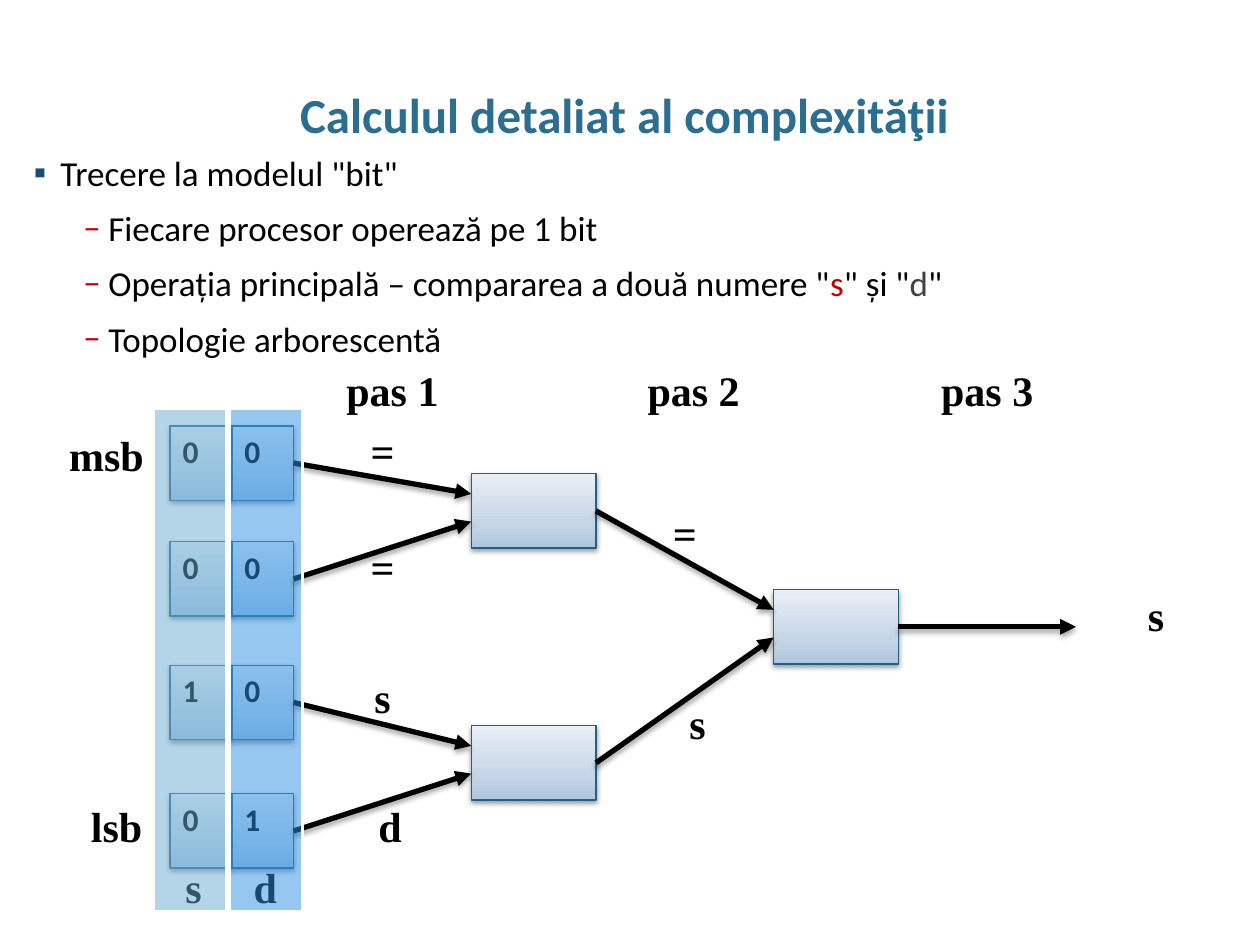
"""Builds the slide on the bit-model comparison tree, on a grid of 100 columns by 75 rows."""
from typing import NamedTuple, Optional

from lxml.etree import SubElement
from pptx import Presentation
from pptx.dml.color import RGBColor
from pptx.enum.shapes import MSO_CONNECTOR, MSO_SHAPE
from pptx.enum.text import MSO_ANCHOR, PP_ALIGN
from pptx.oxml import parse_xml
from pptx.oxml.ns import nsdecls, qn
from pptx.util import Emu, Inches, Pt

BLACK = RGBColor(0x00, 0x00, 0x00)
WHITE = RGBColor(0xFF, 0xFF, 0xFF)
TITLE = RGBColor(0x2C, 0x6D, 0x92)
BULLET = RGBColor(0x1C, 0x4C, 0x74)
DASH = RGBColor(0xBE, 0x00, 0x09)
RED = RGBColor(0xC0, 0x00, 0x00)
GREY = RGBColor(0x40, 0x40, 0x40)
NODE_LINE = RGBColor(0x24, 0x60, 0x83)
BIT_LINE = RGBColor(0x29, 0x6B, 0x91)
S_BAND = RGBColor(0x6B, 0xAD, 0xD3)
D_BAND = RGBColor(0x2C, 0x91, 0xE4)
NODE_STOPS = ((0, "AEC5DE"), (35, "C7D6E7"), (100, "E9EFF6"))
BIT_STOPS = ((0, "AAC8E6"), (35, "C4D8EC"), (100, "E8F0F8"))
SERIF, SANS = "Times New Roman", "Calibri"
STEP = Inches(0.1)
BOX_W, BOX_H, BIT_W = 9.9, 5.9, 4.9
BITS_COL, BITS_END = 13.5, 23.3
PORTS = (1.6, 3.8)


class Label(NamedTuple):
    text: str
    col: float
    row: float


class Item(NamedTuple):
    runs: tuple
    bullet: str
    color: RGBColor
    margin: float
    indent: float


class BitPair(NamedTuple):
    s: str
    d: str
    row: float


LABELS = (
    Label("msb", 3.5, 33.6), Label("lsb", 4.3, 63),
    Label("=", 25.4, 33.3), Label("=", 25.4, 42.5), Label("s", 25.4, 52.8), Label("d", 26, 63),
    Label("=", 49.4, 39.8), Label("s", 50.4, 54.9), Label("s", 86.8, 46.3),
    Label("s", 10.4, 67.9), Label("d", 16.1, 67.9),
)
STEPS = (Label("pas 1", 26.2, 28.4), Label("pas 2", 50.1, 28.4), Label("pas 3", 73.4, 28.4))
PAIRS = (BitPair("0", "0", 33.8), BitPair("0", "0", 43), BitPair("1", "0", 52.8), BitPair("0", "1", 63))
SUB = ("‒", DASH, 0.59, -0.2)
ITEMS = (
    Item((("Trecere la modelul \"bit\"", BLACK),), "▪", BULLET, 0.21, -0.21),
    Item((("Fiecare procesor operează pe 1 bit", BLACK),), *SUB),
    Item((("Operația principală – compararea a două numere \"", BLACK), ("s", RED),
          ("\" și \"", BLACK), ("d", GREY), ("\"", BLACK)), *SUB),
    Item((("Topologie arborescentă", BLACK),), *SUB),
)


def grid(*lengths: float) -> list:
    """Turn grid lengths into EMU."""
    return [Emu(int(v * STEP)) for v in lengths]


def style(r, size: float, color: RGBColor, name: str, bold: bool = True) -> None:
    """Set the font of a run."""
    r.font.size, r.font.name, r.font.bold = Pt(size), name, bold
    r.font.color.rgb = color


def add_effect(sp, blur: float = 0, dist: float = 0, alpha: int = 0) -> None:
    """Give a shape a downward shadow."""
    sp._element.spPr.append(parse_xml(
        f'<a:effectLst {nsdecls("a")}><a:outerShdw blurRad="{Pt(blur)}" dist="{Pt(dist)}" '
        f'dir="5400000" rotWithShape="0"><a:srgbClr val="000000"><a:alpha val="{alpha * 1000}"/>'
        '</a:srgbClr></a:outerShdw></a:effectLst>'))


def add_rect(s, col: float, row: float, w: float, h: float, fill: RGBColor):
    """Draw a plain rectangle without line or shadow."""
    sp = s.shapes.add_shape(MSO_SHAPE.RECTANGLE, *grid(col, row, w, h))
    sp.shadow.inherit = False
    sp.fill.solid()
    sp.fill.fore_color.rgb = fill
    sp.line.fill.background()
    return sp


def add_text(sp, text: str, size: float, name: str, align: PP_ALIGN) -> None:
    """Write one bold line at the top of a shape."""
    tf = sp.text_frame
    tf.vertical_anchor = MSO_ANCHOR.TOP
    p = tf.paragraphs[0]
    p.text, p.alignment = text, align
    style(p.runs[0], size, BLACK, name)


def add_label(s, label: Label) -> None:
    """Draw a serif label on white."""
    sp = add_rect(s, label.col, label.row, BOX_W, BOX_H, WHITE)
    add_text(sp, label.text, 24, SERIF, PP_ALIGN.CENTER)


def add_box(s, col: float, row: float, w: float, stops: tuple, line: RGBColor, text: str = ""):
    """Draw a shaded box with an outline and a shadow."""
    sp = s.shapes.add_shape(MSO_SHAPE.RECTANGLE, *grid(col, row, w, BOX_H))
    gs = "".join(f'<a:gs pos="{pos * 1000}"><a:srgbClr val="{c}"/></a:gs>' for pos, c in stops)
    sp._element.spPr.append(parse_xml(
        f'<a:gradFill {nsdecls("a")} rotWithShape="1"><a:gsLst>{gs}</a:gsLst>'
        '<a:lin ang="16200000" scaled="0"/></a:gradFill>'))
    sp.line.color.rgb, sp.line.width = line, Pt(0.75)
    add_effect(sp, 3.1, 1.6, 38)
    if text:
        add_text(sp, text, 18, SANS, PP_ALIGN.LEFT)
    return sp


def add_node(s, col: float, row: float):
    """Draw a processor of the tree."""
    return add_box(s, col, row, BOX_W, NODE_STOPS, NODE_LINE)


def add_arrow(s, source, target=None, port: float = 0, reach: float = 14.1) -> None:
    """Draw an arrow from a box's right side to a port of the target, or straight on."""
    x, y = source.left + source.width, source.top + source.height // 2
    dx, dy = grid(reach, port)
    end = (target.left, target.top + dy) if target else (x + dx, y)
    c = s.shapes.add_connector(MSO_CONNECTOR.STRAIGHT, x, y, *end)
    c.begin_connect(source, 3)
    c.line.color.rgb, c.line.width = BLACK, Pt(3)
    SubElement(c.line._get_or_add_ln(), qn("a:tailEnd"), type="triangle")
    add_effect(c, 3.1, 1.8, 35)


def add_band(s, col: float, color: RGBColor) -> None:
    """Draw a half-transparent column over the bits."""
    sp = add_rect(s, col, 32.4, 5.8, 40, color)
    SubElement(sp.fill._xPr.find(".//" + qn("a:srgbClr")), qn("a:alpha"), val="50000")
    sp.line.color.rgb, sp.line.width = WHITE, Pt(2)


def add_frame(s, col: float, row: float, w: float, h: float, anchor: Optional[MSO_ANCHOR] = None):
    """Add a wrapping text box without side insets."""
    tf = s.shapes.add_textbox(*grid(col, row, w, h)).text_frame
    tf.word_wrap, tf.margin_left, tf.margin_right = True, 0, 0
    tf.vertical_anchor = anchor
    return tf


def add_item(p, item: Item, first: bool) -> None:
    """Write one bulleted paragraph."""
    pPr = p._p.get_or_add_pPr()
    pPr.set("marL", str(Inches(item.margin)))
    pPr.set("indent", str(Inches(item.indent)))
    p.space_before = Pt(0 if first else 7.6)
    SubElement(SubElement(pPr, qn("a:buClr")), qn("a:srgbClr"), val=str(item.color))
    SubElement(pPr, qn("a:buFont"), typeface=SANS)
    SubElement(pPr, qn("a:buChar"), char=item.bullet)
    for text, color in item.runs:
        r = p.add_run()
        r.text = text
        style(r, 20, color, SANS, False)


def main() -> None:
    """Build and save the slide."""
    prs = Presentation()
    prs.slide_width, prs.slide_height = grid(100, 75)
    s = prs.slides.add_slide(prs.slide_layouts[6])

    p = add_frame(s, 3, 6.8, 93.1, 5, MSO_ANCHOR.MIDDLE).paragraphs[0]
    p.text, p.alignment, p.line_spacing = "Calculul detaliat al complexităţii", PP_ALIGN.CENTER, 0.95
    style(p.runs[0], 28, TITLE, SANS)

    tf = add_frame(s, 2.7, 11.5, 91.7, 16.9, MSO_ANCHOR.TOP)
    for i, item in enumerate(ITEMS):
        add_item(tf.add_paragraph() if i else tf.paragraphs[0], item, i == 0)

    for label in LABELS + STEPS:
        add_label(s, label)
    leaves = []
    for pair in PAIRS:
        add_box(s, BITS_COL, pair.row, BIT_W, BIT_STOPS, BIT_LINE, pair.s)
        leaves.append(add_box(s, BITS_END - BIT_W, pair.row, BIT_W, BIT_STOPS, BIT_LINE, pair.d))
    upper, lower = (add_node(s, 37.4, row) for row in (37.6, 57.6))
    root = add_node(s, 61.4, 46.8)
    for sources, target in ((leaves[:2], upper), (leaves[2:], lower), ((upper, lower), root)):
        for source, port in zip(sources, PORTS):
            add_arrow(s, source, target, port)
    add_arrow(s, root)
    add_band(s, 18.2, D_BAND)
    add_band(s, 12.2, S_BAND)
    prs.save("out.pptx")


if __name__ == "__main__":
    main()
